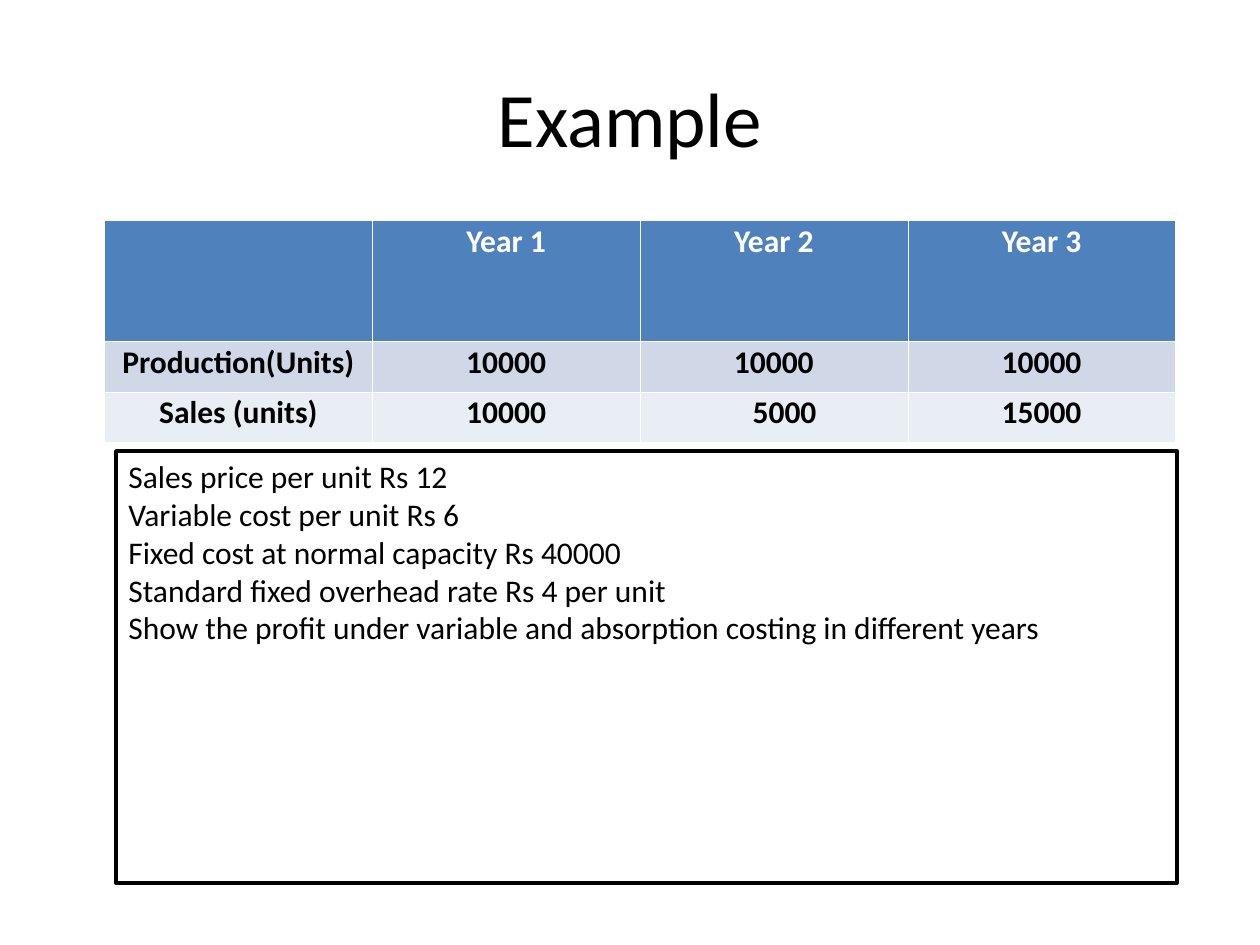
from lxml import etree
from pptx import Presentation
from pptx.dml.color import RGBColor
from pptx.enum import shapes, text
from pptx.oxml import ns
from pptx.util import Inches, Pt

BLACK, WHITE = "000000", "FFFFFF"
ROW_FILLS = ["4F81BD", "D0D8E8", "E9EDF4"]
ROW_HEIGHTS = [0.96, 0.4, 0.4]
UNITS = [
    ["", "Year 1", "Year 2", "Year 3"],
    ["Production(Units)", "10000", "10000", "10000"],
    ["Sales (units)", "10000", "5000", "15000"],
]
FACTS = [
    "Sales price per unit Rs 12",
    "Variable cost per unit Rs 6",
    "Fixed cost at normal capacity Rs 40000",
    "Standard fixed overhead rate Rs 4 per unit",
    "Show the profit under variable and absorption costing in different years",
]


def rgb(value):
    """Turn a hex string into a colour."""
    return RGBColor.from_string(value)


def apply(target, values):
    """Set each attribute in a dict on the target."""
    for name, value in values.items():
        setattr(target, name, value)


def format_paragraph(paragraph, size, colour, bold=False, **layout):
    """Set the font and the layout of a paragraph."""
    apply(paragraph, layout)
    apply(paragraph.font, {"name": "Calibri", "size": Pt(size), "bold": bold})
    paragraph.font.color.rgb = rgb(colour)


def add_title(slide, wording):
    """Place and fill the title."""
    title = slide.shapes.title
    apply(title, {"left": Inches(0.5), "top": Inches(0.3),
                  "width": Inches(9), "height": Inches(1.25)})
    title.text_frame.text = wording
    title.text_frame.vertical_anchor = text.MSO_ANCHOR.MIDDLE
    format_paragraph(title.text_frame.paragraphs[0], 44, BLACK,
                     alignment=text.PP_ALIGN.CENTER)


def add_borders(cell, widths):
    """Draw white cell borders from a dict of side and point width."""
    properties = cell._tc.get_or_add_tcPr()
    for side, width in widths.items():
        line = etree.SubElement(properties, ns.qn(f"a:ln{side}"), w=str(Pt(width)))
        fill = etree.SubElement(line, ns.qn("a:solidFill"))
        etree.SubElement(fill, ns.qn("a:srgbClr"), val=WHITE)


def add_units_table(slide):
    """Add the table of units produced and sold."""
    width = Inches(8.5)
    table = slide.shapes.add_table(len(UNITS), len(UNITS[0]), Inches(0.83), Inches(1.75),
                                   width, Inches(sum(ROW_HEIGHTS))).table
    for column in table.columns:
        column.width = width // len(UNITS[0])
    for r, entries in enumerate(UNITS):
        table.rows[r].height = Inches(ROW_HEIGHTS[r])
        header = r == 0
        borders = {"L": 0.23, "R": 0.23, "T": 0.75 if r == 1 else 0.23,
                   "B": 0.75 if header else 0.23}
        for c, entry in enumerate(entries):
            cell = table.cell(r, c)
            add_borders(cell, borders)
            cell.fill.solid()
            cell.fill.fore_color.rgb = rgb(ROW_FILLS[r])
            cell.text = entry
            format_paragraph(cell.text_frame.paragraphs[0], 18, WHITE if header else BLACK,
                             bold=True, alignment=text.PP_ALIGN.CENTER, line_spacing=0.83)
    table.cell(2, 2).margin_left = Inches(0.27)


def add_facts_box(slide):
    """Add the framed box of costs and the task."""
    box = slide.shapes.add_shape(shapes.MSO_SHAPE.RECTANGLE, Inches(0.92), Inches(3.58),
                                 Inches(8.42), Inches(3.43))
    box.shadow.inherit = False
    box.fill.solid()
    box.fill.fore_color.rgb = rgb(WHITE)
    box.line.color.rgb = rgb(BLACK)
    box.line.width = Pt(2)
    frame = box.text_frame
    apply(frame, {"word_wrap": True, "vertical_anchor": text.MSO_ANCHOR.TOP})
    frame.text = "\n".join(FACTS)
    for paragraph in frame.paragraphs:
        format_paragraph(paragraph, 18, BLACK, alignment=text.PP_ALIGN.LEFT)


def main():
    """Build and save the slide."""
    deck = Presentation()
    apply(deck, {"slide_width": Inches(10), "slide_height": Inches(7.5)})
    slide = deck.slides.add_slide(deck.slide_layouts.get_by_name("Title Only"))
    add_title(slide, "Example")
    add_units_table(slide)
    add_facts_box(slide)
    deck.save("out.pptx")


if __name__ == "__main__":
    main()
